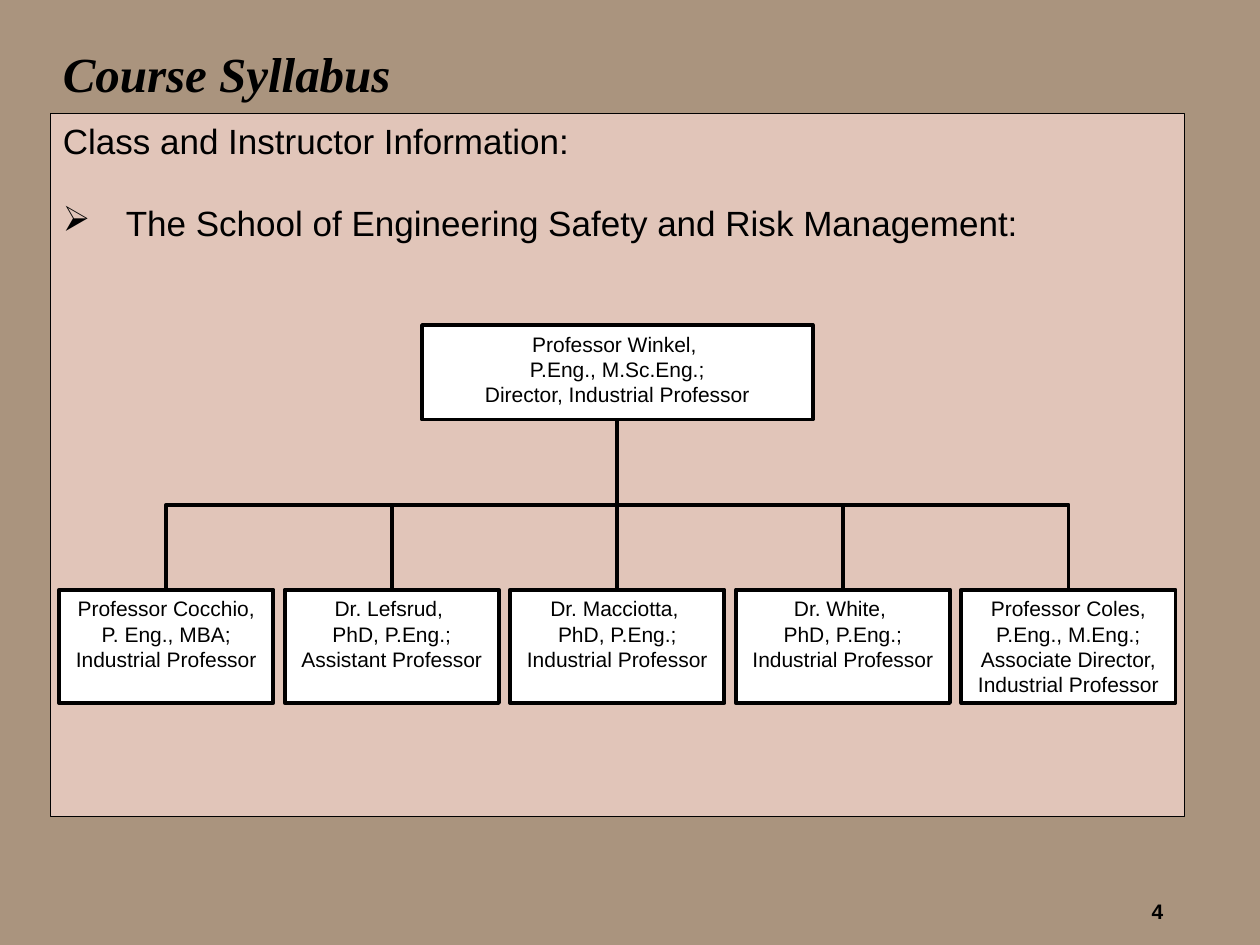
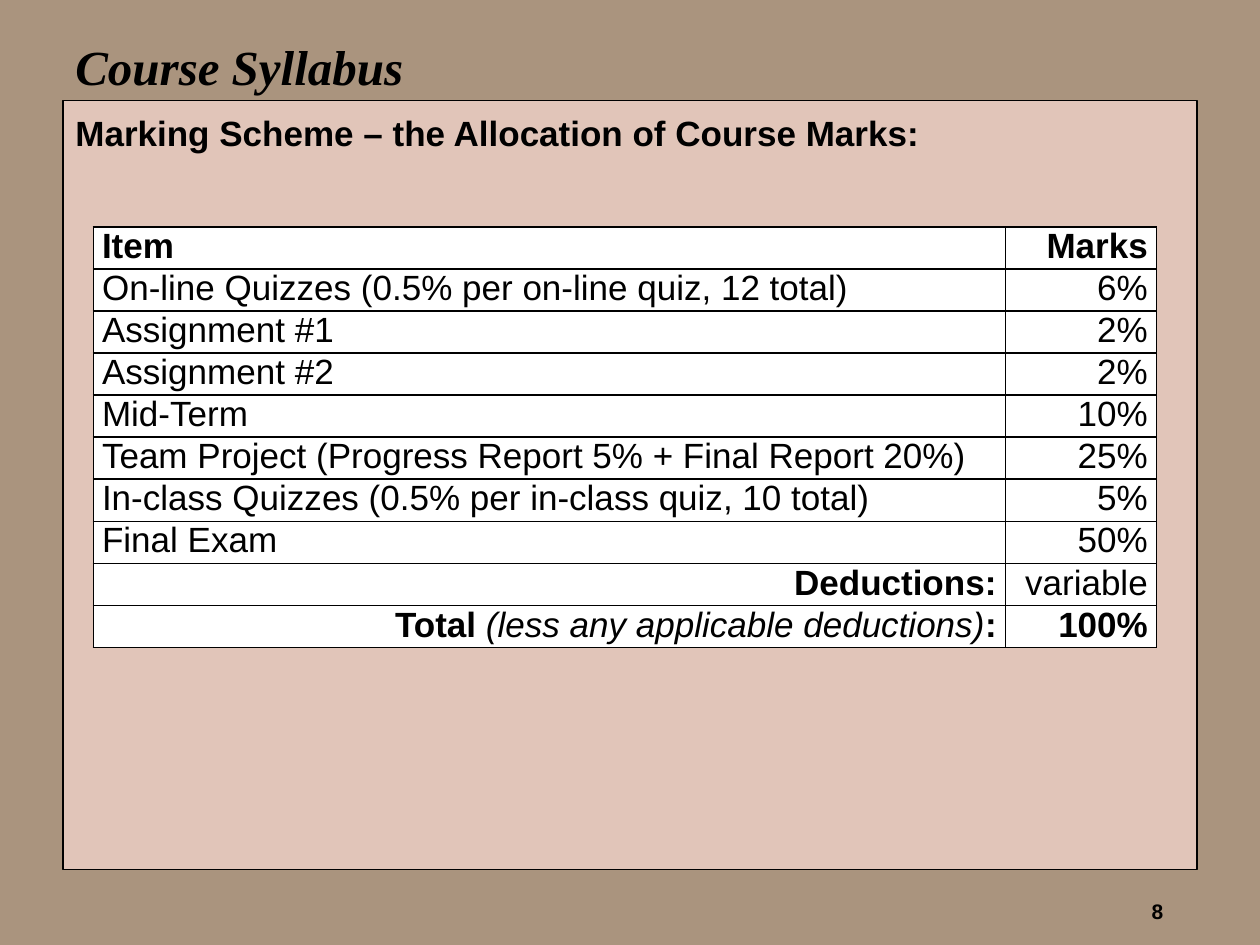
"""Build two course syllabus slides: an instructor chart and a marking table."""
import lxml.etree
import pptx
import pptx.dml.color
import pptx.enum.shapes
import pptx.enum.text
import pptx.oxml
import pptx.oxml.ns
import pptx.util

Inches = pptx.util.Inches
Pt = pptx.util.Pt
RGBColor = pptx.dml.color.RGBColor
ALIGN = pptx.enum.text.PP_ALIGN
ANCHOR = pptx.enum.text.MSO_ANCHOR
RECTANGLE = pptx.enum.shapes.MSO_SHAPE.RECTANGLE
ELBOW = pptx.enum.shapes.MSO_CONNECTOR.ELBOW
qn = pptx.oxml.ns.qn

BACKGROUND = RGBColor(0xAA, 0x94, 0x7E)
PANEL = RGBColor(0xF9, 0xDB, 0xD3)
BLACK = RGBColor(0, 0, 0)
WHITE = RGBColor(0xFF, 0xFF, 0xFF)
NAMESPACE = "http://schemas.openxmlformats.org/drawingml/2006/main"


def write(text_frame, text, size, align=ALIGN.LEFT, anchor=ANCHOR.TOP,
          font="Arial", bold=False, italic=False):
    text_frame.text = text
    text_frame.word_wrap = True
    text_frame.vertical_anchor = anchor
    for paragraph in text_frame.paragraphs:
        paragraph.alignment = align
        for run in paragraph.runs:
            run.font.name = font
            run.font.size = Pt(size)
            run.font.bold = bold
            run.font.italic = italic
            run.font.color.rgb = BLACK


def add_rectangle(slide, left, top, width, height, fill, line_width):
    shape = slide.shapes.add_shape(
        RECTANGLE, Inches(left), Inches(top), Inches(width), Inches(height))
    shape.shadow.inherit = False
    shape.fill.solid()
    shape.fill.fore_color.rgb = fill
    shape.line.color.rgb = BLACK
    shape.line.width = Pt(line_width)
    return shape


presentation = pptx.Presentation()
presentation.slide_width = Inches(10)
presentation.slide_height = Inches(7.5)

pages = [
    ("4", 0.4, 0.9, 5.58, False,
     "Class and Instructor Information:\n"
     "The School of Engineering Safety and Risk Management:"),
    ("8", 0.5, 0.8, 6.1, True,
     "Marking Scheme – the Allocation of Course Marks:"),
]
slides = []
panels = []
for number, left, panel_top, panel_height, bold, heading in pages:
    slide = presentation.slides.add_slide(presentation.slide_layouts[6])
    slide.background.fill.solid()
    slide.background.fill.fore_color.rgb = BACKGROUND
    number_box = slide.shapes.add_textbox(
        Inches(8.33), Inches(7.08), Inches(1), Inches(0.25))
    write(number_box.text_frame, number, 12, ALIGN.RIGHT, bold=True)
    panel = add_rectangle(slide, left, panel_top, 9, panel_height, PANEL, 0.75)
    color = panel.fill._xPr.find(".//" + qn("a:srgbClr"))
    lxml.etree.SubElement(color, qn("a:alpha"), val="70000")
    write(panel.text_frame, heading, 20, bold=bold)
    title_box = slide.shapes.add_textbox(
        Inches(left), Inches(0.25), Inches(9.75 - left), Inches(panel_top - 0.25))
    write(title_box.text_frame, "Course Syllabus", 28, anchor=ANCHOR.MIDDLE,
          font="Times New Roman", bold=True, italic=True)
    slides.append(slide)
    panels.append(panel)

school = panels[0].text_frame.paragraphs[1]
school.space_before = Pt(23)
properties = school._p.get_or_add_pPr()
properties.set("marL", str(Inches(0.5)))
properties.set("indent", str(-Inches(0.5)))
lxml.etree.SubElement(properties, qn("a:buFont"), typeface="Wingdings")
lxml.etree.SubElement(properties, qn("a:buChar"), char="Ø")
panels[1].text_frame.paragraphs[0].line_spacing = 1.1

chart_slide, marks_slide = slides
director_center = 4.9
director_bottom = 3.33
staff_top = 4.68
staff_width = 1.7
staff_pitch = 1.79
director = add_rectangle(chart_slide, 3.35, 2.58, 3.1, 0.75, WHITE, 2.25)
write(director.text_frame,
      "Professor Winkel, \vP.Eng., M.Sc.Eng.;\nDirector, Industrial Professor",
      12, ALIGN.CENTER)

staff = [
    "Professor Cocchio, P. Eng., MBA;\nIndustrial Professor",
    "Dr. Lefsrud, \vPhD, P.Eng.;\nAssistant Professor",
    "Dr. Macciotta, \vPhD, P.Eng.;\nIndustrial Professor",
    "Dr. White, \vPhD, P.Eng.;\nIndustrial Professor",
    "Professor Coles, P.Eng., M.Eng.;\nAssociate Director, Industrial Professor",
]
drop = staff_top - director_bottom
middle_y = director_bottom + drop / 2
for index, text in enumerate(staff):
    offset = (index - 2) * staff_pitch
    member = add_rectangle(
        chart_slide, director_center + offset - staff_width / 2, staff_top,
        staff_width, 0.9, WHITE, 2.25)
    write(member.text_frame, text, 12, ALIGN.CENTER)
    middle_x = director_center + offset / 2
    reach = drop / 2 if offset >= 0 else -drop / 2
    connector = chart_slide.shapes.add_connector(
        ELBOW,
        Inches(middle_x + reach), Inches(middle_y - abs(offset) / 2),
        Inches(middle_x - reach), Inches(middle_y + abs(offset) / 2))
    connector.line.color.rgb = BLACK
    connector.line.width = Pt(2.25)
    shape_properties = connector._element.spPr
    shape_properties.find(qn("a:xfrm")).set("rot", str(270 * 60000))
    lxml.etree.SubElement(shape_properties, qn("a:effectLst"))

marks = [
    ("Item", "Marks"),
    ("On-line Quizzes (0.5% per on-line quiz, 12 total)", "6%"),
    ("Assignment #1", "2%"),
    ("Assignment #2", "2%"),
    ("Mid-Term", "10%"),
    ("Team Project (Progress Report 5% + Final Report 20%)", "25%"),
    ("In-class Quizzes (0.5% per in-class quiz, 10 total)", "5%"),
    ("Final Exam", "50%"),
    ("Deductions:", "variable"),
    ("Total", "100%"),
]
bold_texts = {"Item", "Marks", "Deductions:", "Total", "100%"}
row_height = 0.32
table = marks_slide.shapes.add_table(
    len(marks), 2, Inches(0.74), Inches(1.8), Inches(8.44),
    Inches(row_height * len(marks))).table
table.first_row = False
table.horz_banding = False
table.columns[0].width = Inches(7.24)
table.columns[1].width = Inches(1.2)
for row_index, row in enumerate(marks):
    table.rows[row_index].height = Inches(row_height)
    for column_index, text in enumerate(row):
        cell = table.cell(row_index, column_index)
        cell.margin_left = cell.margin_right = Inches(0.07)
        cell.margin_top = cell.margin_bottom = 0
        right = column_index == 1 or row_index >= len(marks) - 2
        write(cell.text_frame, text, 20, ALIGN.RIGHT if right else ALIGN.LEFT,
              bold=text in bold_texts)
        for side in ("lnL", "lnR", "lnT", "lnB"):
            cell._tc.get_or_add_tcPr().append(pptx.oxml.parse_xml(
                f'<a:{side} xmlns:a="{NAMESPACE}" w="{Pt(1)}"><a:solidFill>'
                f'<a:srgbClr val="{BLACK}"/></a:solidFill></a:{side}>'))
        cell.fill.solid()
        cell.fill.fore_color.rgb = WHITE

total = table.cell(len(marks) - 1, 0).text_frame.paragraphs[0]
for text, italic in ((" (less any applicable deductions)", True), (":", False)):
    run = total.add_run()
    run.text = text
    run.font.name = "Arial"
    run.font.size = Pt(20)
    run.font.bold = not italic
    run.font.italic = italic
    run.font.color.rgb = BLACK

presentation.save("out.pptx")
